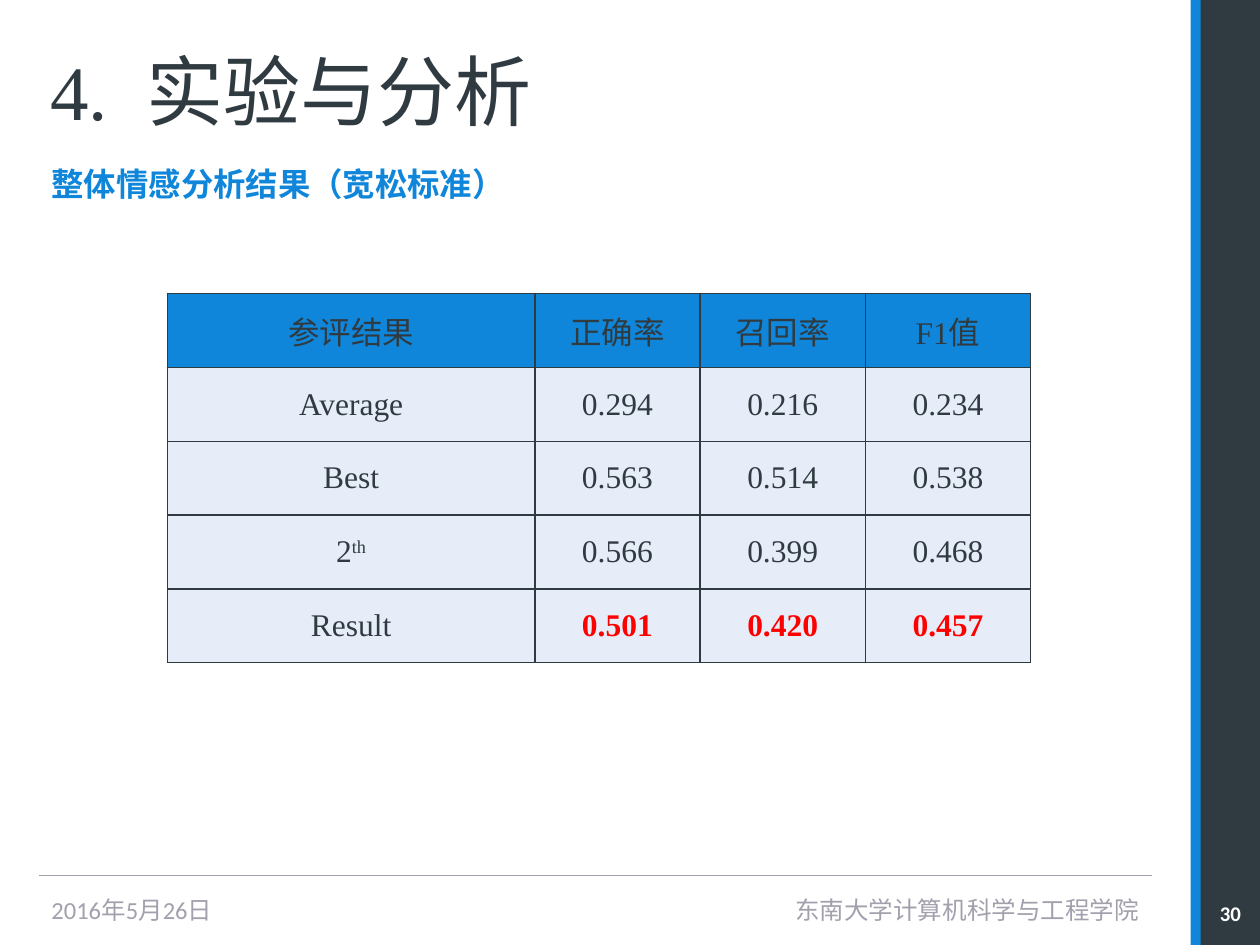
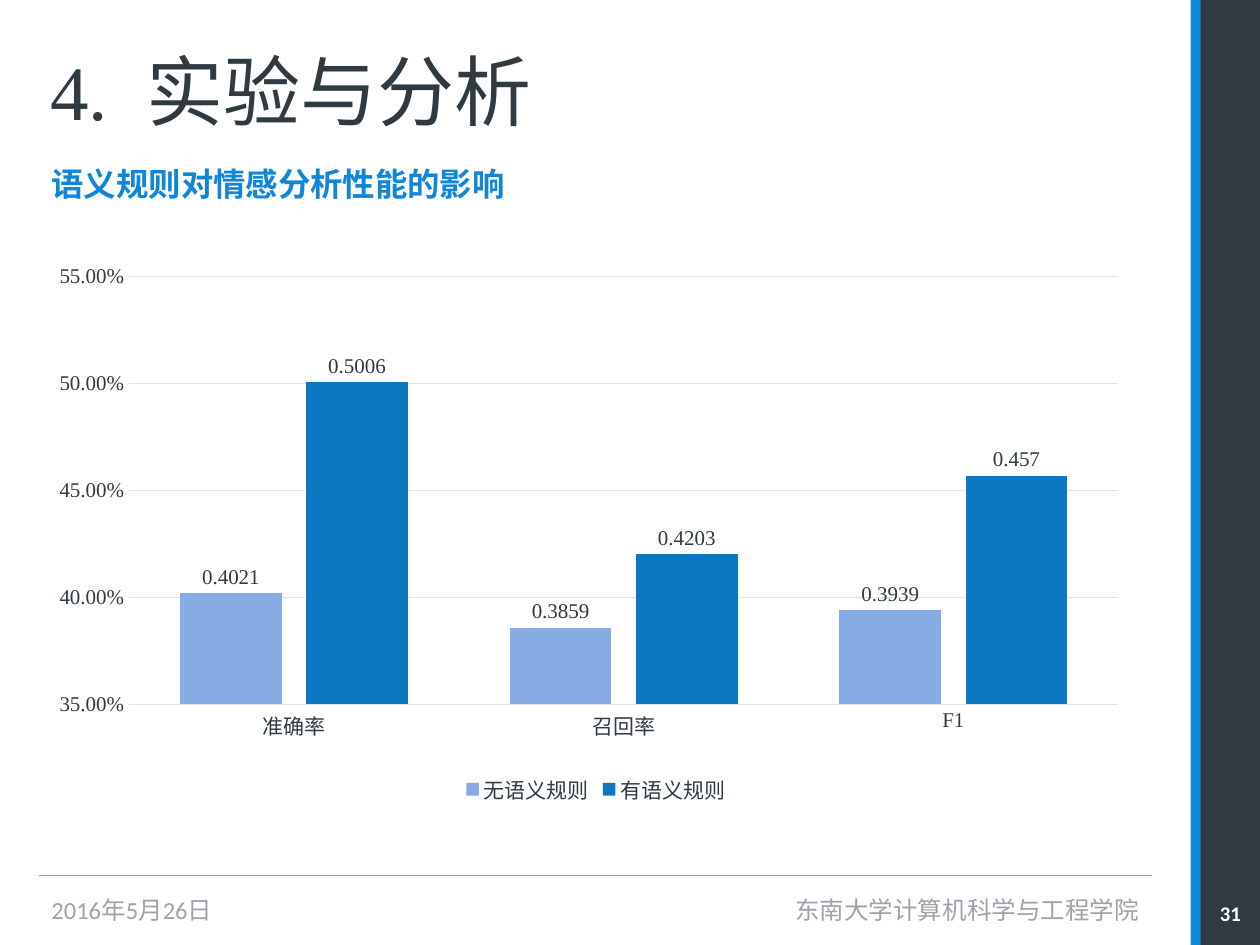
from dataclasses import dataclass

from lxml import etree
from pptx import Presentation
from pptx import util as u
from pptx.chart.data import CategoryChartData
from pptx.dml.color import RGBColor
from pptx.enum import chart as ch, shapes, text
from pptx.oxml import ns, parse_xml


@dataclass(frozen=True)
class Theme:
    ink: str = "303B41"
    accent: str = "0F86DA"
    muted: str = "A1A1AD"
    white: str = "FFFFFF"
    cell: str = "E7EDF8"
    alert: str = "FF0000"
    grid: str = "DDE3E6"
    bars: tuple = ("87ACE3", "0D77C1")
    serif: str = "Times New Roman"
    sans: str = "Calibri"
    title: float = 44
    subtitle: float = 18.5
    table: float = 18
    footer: float = 14
    number: float = 11.9
    chart: float = 12


T = Theme()
WIDTH, HEIGHT = u.Inches(10), u.Inches(7.5)
DATE = "2016年5月26日"
SCHOOL = "东南大学计算机科学与工程学院"
SECTION = ("4.", "实验与分析")

# Left, top, width and height in percent of the slide
STRIPE = (94.5, 0, 5.5, 100)
SIDEBAR = (95.3, 0, 4.7, 100)
TITLE = (3, 2.27, 89.2, 14.4)
SUBTITLE = (3.1, 16.67, 89.1, 5.2)
DATE_BOX = (3.1, 93.6, 19.5, 5.33)
SCHOOL_BOX = (32.1, 93.6, 59.3, 5.33)
NUMBER_BOX = (95.3, 94.8, 4.7, 3.6)
TABLE = (13.3, 31.07, 68.5, 39.07)
CHART = (3.2, 26.93, 88.2, 58.8)
RULE_Y, RULE_LEFT, RULE_RIGHT = 92.67, 3.1, 91.4


def px(share):
    return round(WIDTH * share / 100)


def py(share):
    return round(HEIGHT * share / 100)


def box(area):
    x, y, w, h = area
    return px(x), py(y), px(w), py(h)


def put(obj, **values):
    for name, value in values.items():
        setattr(obj, name, value)


def set_font(font, size, color, name=T.sans, bold=False):
    put(font, size=u.Pt(size), name=name, bold=bold)
    font.color.rgb = RGBColor.from_string(color)


def set_line(line, color, width):
    line.color.rgb = RGBColor.from_string(color)
    line.width = u.Pt(width)


def set_fill(fill, color):
    fill.solid()
    fill.fore_color.rgb = RGBColor.from_string(color)


def add_run(p, words, *font):
    r = p.add_run()
    r.text = words
    set_font(r.font, *font)
    return r


def add_band(s, area, color):
    sp = s.shapes.add_shape(shapes.MSO_SHAPE.RECTANGLE, *box(area))
    set_fill(sp.fill, color)
    sp.line.fill.background()
    sp.shadow.inherit = False


def add_rule(s):
    y = py(RULE_Y)
    line = s.shapes.add_connector(shapes.MSO_CONNECTOR.STRAIGHT,
                                  px(RULE_LEFT), y, px(RULE_RIGHT), y)
    set_line(line.line, T.muted, 0.79)
    etree.SubElement(line._element.spPr, ns.qn("a:effectLst"))


def add_label(s, area, words, align, *font, inset=0.1):
    tf = s.shapes.add_textbox(*box(area)).text_frame
    put(tf, word_wrap=True, vertical_anchor=text.MSO_ANCHOR.MIDDLE,
        margin_left=u.Inches(inset), margin_right=u.Inches(inset))
    p = tf.paragraphs[0]
    p.alignment = align
    add_run(p, words, *font)


def fit_placeholder(sp, area, anchor):
    """Move a placeholder and return its first paragraph."""
    left, top, width, height = box(area)
    put(sp, left=left, top=top, width=width, height=height)
    put(sp.text_frame, vertical_anchor=anchor, word_wrap=True,
        auto_size=text.MSO_AUTO_SIZE.NONE)
    p = sp.text_frame.paragraphs[0]
    p.alignment = text.PP_ALIGN.LEFT
    return p


def add_title(s):
    p = fit_placeholder(s.shapes.title, TITLE, text.MSO_ANCHOR.MIDDLE)
    font = (T.title, T.ink, T.serif)
    number, name = SECTION
    add_run(p, number, *font)
    gap = add_run(p, " ", *font)
    gap.font._element.set("spc", "1100")
    add_run(p, name, *font)


def add_subtitle(s, words):
    p = fit_placeholder(s.placeholders[1], SUBTITLE, text.MSO_ANCHOR.TOP)
    p.space_before = u.Pt(7)
    props = p._p.get_or_add_pPr()
    props.set("marL", "0")
    props.set("indent", "0")
    etree.SubElement(props, ns.qn("a:buNone"))
    add_run(p, words, T.subtitle, T.accent, T.sans, True)


def new_slide(prs, number, subtitle):
    s = prs.slides.add_slide(prs.slide_layouts[1])
    add_band(s, STRIPE, T.accent)
    add_band(s, SIDEBAR, T.ink)
    add_rule(s)
    align = text.PP_ALIGN
    add_label(s, DATE_BOX, DATE, align.LEFT, T.footer, T.muted)
    add_label(s, SCHOOL_BOX, SCHOOL, align.RIGHT, T.footer, T.muted)
    add_label(s, NUMBER_BOX, str(number), align.CENTER,
              T.number, T.white, T.sans, True, inset=0)
    add_title(s)
    add_subtitle(s, subtitle)
    return s


def set_borders(cell, color, width):
    props = cell._tc.get_or_add_tcPr()
    for i, side in enumerate(("lnL", "lnR", "lnT", "lnB")):
        props.insert(i, parse_xml(
            f'<a:{side} {ns.nsdecls("a")} w="{u.Pt(width)}"><a:solidFill>'
            f'<a:srgbClr val="{color}"/></a:solidFill></a:{side}>'))


def fill_cell(cell, words, fill, color, bold):
    """Write a cell; the part of words after ^ is raised."""
    put(cell, vertical_anchor=text.MSO_ANCHOR.MIDDLE, margin_top=0, margin_bottom=0,
        margin_left=u.Inches(0.07), margin_right=u.Inches(0.07))
    set_fill(cell.fill, fill)
    set_borders(cell, T.ink, 1)
    p = cell.text_frame.paragraphs[0]
    p.alignment = text.PP_ALIGN.CENTER
    base, _, raised = words.partition("^")
    font = (T.table, color, T.serif, bold)
    add_run(p, base, *font)
    if raised:
        add_run(p, raised, *font).font._element.set("baseline", "30000")


def add_score_table(s, rows, shares):
    """Draw the scores; the figures of the last row stand out."""
    left, top, width, height = box(TABLE)
    table = s.shapes.add_table(len(rows), len(shares), left, top, width, height).table
    for column, share in zip(table.columns, shares):
        column.width = round(width * share / sum(shares))
    for i, row in enumerate(rows):
        table.rows[i].height = round(height / len(rows))
        for j, words in enumerate(row):
            key = i == len(rows) - 1 and j > 0
            fill_cell(table.cell(i, j), words, T.cell if i else T.accent,
                      T.alert if key else T.ink, key)


def set_plot_area(chart, x, y, w, h):
    """Fix the inner plot area, in shares of the chart."""
    area = chart._chartSpace.chart.plotArea
    for old in area.findall(ns.qn("c:layout")):
        area.remove(old)
    layout = etree.Element(ns.qn("c:layout"))
    manual = etree.SubElement(layout, ns.qn("c:manualLayout"))
    values = dict(layoutTarget="inner", xMode="edge", yMode="edge", x=x, y=y, w=w, h=h)
    for name, value in values.items():
        etree.SubElement(manual, ns.qn(f"c:{name}")).set("val", str(value))
    area.insert(0, layout)


def style_axes(chart):
    for axis in (chart.category_axis, chart.value_axis):
        put(axis, major_tick_mark=ch.XL_TICK_MARK.NONE,
            minor_tick_mark=ch.XL_TICK_MARK.NONE)
        set_font(axis.tick_labels.font, T.chart, T.ink, T.serif)
    set_line(chart.category_axis.format.line, T.grid, 0.75)
    axis = chart.value_axis
    put(axis, minimum_scale=0.35, maximum_scale=0.55, major_unit=0.05,
        has_major_gridlines=True)
    put(axis.tick_labels, number_format="0.00%", number_format_is_linked=False)
    axis.format.line.fill.background()
    set_line(axis.major_gridlines.format.line, T.grid, 0.75)


def style_bars(plot):
    put(plot, gap_width=100, overlap=-24, vary_by_categories=False)
    for series, color in zip(plot.series, T.bars):
        set_fill(series.format.fill, color)
        labels = series.data_labels
        put(labels, show_value=True, position=ch.XL_LABEL_POSITION.OUTSIDE_END,
            number_format="General", number_format_is_linked=False)
        set_font(labels.font, T.chart, T.ink, T.serif)


def add_bar_chart(s, categories, series):
    data = CategoryChartData()
    data.categories = categories
    for name, values in series.items():
        data.add_series(name, values)
    chart = s.shapes.add_chart(ch.XL_CHART_TYPE.COLUMN_CLUSTERED, *box(CHART), data).chart
    put(chart, has_title=False, has_legend=True)
    put(chart.legend, position=ch.XL_LEGEND_POSITION.BOTTOM, include_in_layout=False)
    set_font(chart.legend.font, T.chart, T.ink)
    style_axes(chart)
    style_bars(chart.plots[0])
    set_plot_area(chart, 0.08, 0.04, 0.89, 0.77)


def main():
    prs = Presentation()
    put(prs, slide_width=WIDTH, slide_height=HEIGHT)

    s = new_slide(prs, 30, "整体情感分析结果（宽松标准）")
    add_score_table(s, [
        ("参评结果", "正确率", "召回率", "F1值"),
        ("Average", "0.294", "0.216", "0.234"),
        ("Best", "0.563", "0.514", "0.538"),
        ("2^th", "0.566", "0.399", "0.468"),
        ("Result", "0.501", "0.420", "0.457"),
    ], (2.91, 1.31, 1.31, 1.31))

    s = new_slide(prs, 31, "语义规则对情感分析性能的影响")
    add_bar_chart(s, ("准确率", "召回率", "F1"), {
        "无语义规则": (0.4021, 0.3859, 0.3939),
        "有语义规则": (0.5006, 0.4203, 0.457),
    })
    prs.save("out.pptx")


if __name__ == "__main__":
    main()
